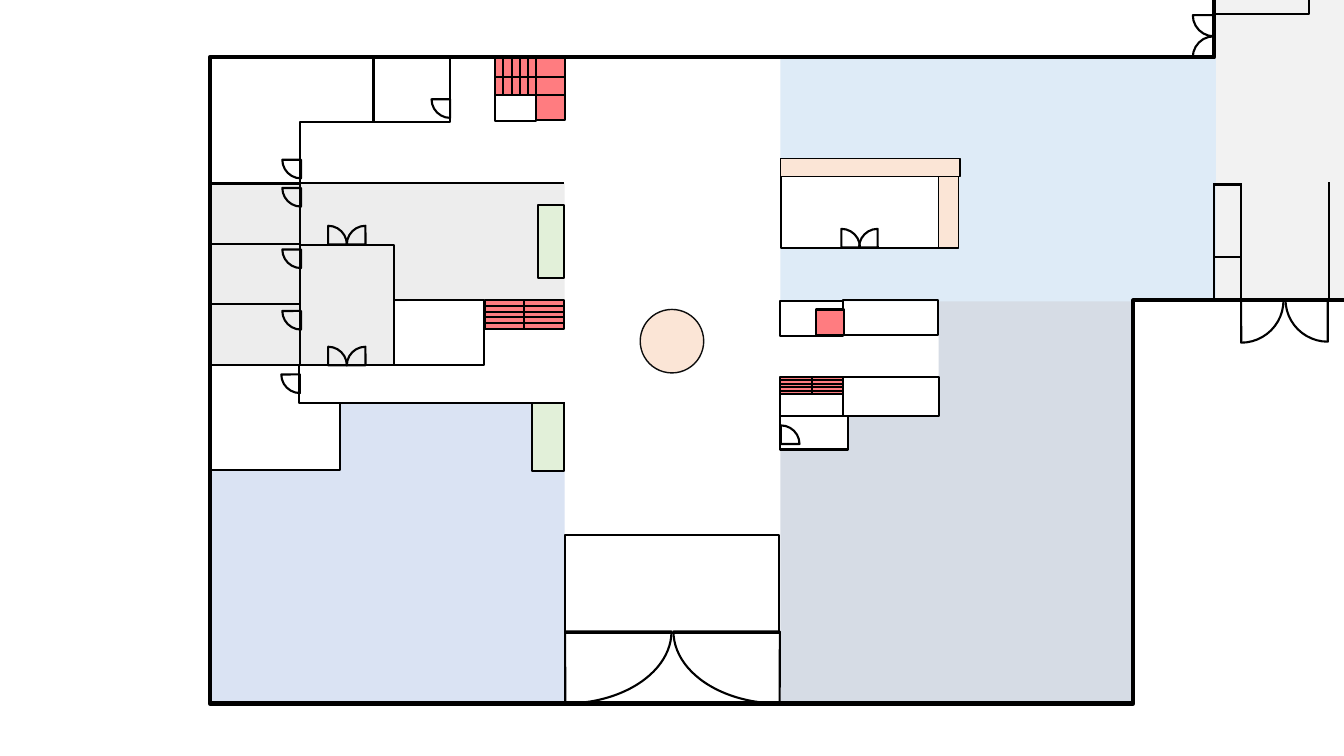
from dataclasses import dataclass

from lxml.etree import SubElement
from pptx import Presentation
from pptx.dml.color import RGBColor
from pptx.enum.shapes import MSO_CONNECTOR as Connector, MSO_SHAPE as Preset
from pptx.oxml.ns import qn
from pptx.util import Inches, Pt


@dataclass(frozen=True)
class Theme:
    white: str = "FFFFFF"
    ink: str = "000000"
    soft_ink: str = "0D0D0D"
    annex: str = "F2F2F2"
    lounge: str = "DAE3F3"
    hall: str = "D6DCE5"
    gallery: str = "DEEBF7"
    offices: str = "EDEDED"
    stairs: str = "FF7C80"
    shelf: str = "E2F0D9"
    counter: str = "FBE5D6"
    thin: float = 1
    wall: float = 1.5
    shell: float = 3


THEME = Theme()
QUARTER = 53.92  # end angle of a door swing, just under 90 degrees
LEAF = 0.37

# Boxes are (left, top, width, height) in inches
ZONES = [
    ((12.05, -0.08, 1.46, 3.06), THEME.annex),
    ((2.08, 4, 3.52, 2.98), THEME.lounge),
    ((9.31, 2.96, 1.93, 1.76), THEME.hall),
    ((7.74, 0.58, 4.32, 2.41), THEME.gallery),
    ((7.74, 4.13, 3.5, 2.85), THEME.hall),
    ((3.29, 1.82, 2.31, 1.15), THEME.offices),
]
OFFICE_WING = [(2.1, 1.82), (4.04, 1.82), (4.04, 2.99), (3.9, 2.99), (3.9, 3.62), (2.1, 3.62)]
WEST_ROOM = [(2.08, 3.62), (2.97, 3.62), (2.97, 4), (3.37, 4), (3.37, 4.66), (2.08, 4.66)]
NORTH_ROOM = [(2.08, 0.57), (3.71, 0.57), (3.71, 1.21), (2.98, 1.21), (2.98, 1.82), (2.08, 1.82)]
SHELL = [
    (12.04, -0.38), (16.5, -0.38), (16.5, 2.98), (11.24, 2.98), (11.24, 6.98),
    (2.08, 6.98), (2.08, 0.57), (12.04, 0.57),
]

OPEN_ROOMS = [
    (3.91, 2.98, 0.89, 0.64),
    (12.03, -0.38, 0.95, 0.52),
    *[(2.08, 1.82 + 0.6 * row, 0.9, 0.6) for row in range(3)],
    (2.98, 2.43, 0.93, 1.19),
    (3.7, 0.57, 0.76, 0.64),
    (5.6, 5.31, 2.13, 0.97),
    (8.36, 2.98, 0.94, 0.34),
    (7.74, 2.99, 0.62, 0.34),
    (8.36, 3.74, 0.95, 0.39),
]
WHITE_ROOMS = [(7.75, 1.75, 1.56, 0.71), (7.74, 4.13, 0.67, 0.33), (4.91, 0.94, 0.41, 0.26)]

# Partitions are (x1, y1, x2, y2)
PARTITIONS = [
    (2.83, 1.82, 5.59, 1.82),
    (3.29, 4, 5.6, 4),
    (13.18, 1.81, 13.18, 2.96),
    (12.31, 1.83, 12.31, 2.25),
    (12.31, 2.54, 12.31, 2.96),
    (12.32, 1.83, 12.03, 1.83),
    (12.04, 1.83, 12.04, 2.99),
    (7.74, 3.9, 7.74, 4.15),
]
THIN_PARTITIONS = [(12.31, 2.16, 12.31, 2.58), (12.31, 2.55, 12.03, 2.55)]

# Single doors are (left, top, rotation)
SINGLE_DOORS = [
    (2.79, 3.53, 90), (2.8, 2.9, 90), (2.8, 2.29, 90), (2.8, 1.68, 90),
    (2.8, 1.4, 90), (4.28, 0.8, 90), (7.56, 4.22, 270),
]
# Double doors are (plain leaf corner, mirrored leaf corner, leaf size, rotation)
DOUBLE_DOORS = [
    ((11.89, 2.56), (12.75, 2.55), (0.84, 0.84), 0),
    ((11.83, -0.06), (11.83, 0.36), (0.42, 0.42), 90),
    ((8.52, 2.27), (8.16, 2.27), (LEAF, LEAF), 180),
    ((3.44, 3.44), (3.07, 3.44), (LEAF, LEAF), 180),
    ((3.44, 2.24), (3.07, 2.24), (LEAF, LEAF), 180),
    ((4.55, 5.55), (6.68, 5.55), (2.11, 1.43), 0),
]

# Stairs are (box, number of treads, tread pitch, whether the treads stand upright)
STAIRS = [
    ((4.81, 2.98, 0.78, 0.28), 4, 0.056, False),
    ((4.91, 0.58, 0.69, 0.36), 5, 0.082, True),
    ((7.74, 3.74, 0.62, 0.17), 4, 0.034, False),
]
LIFTS = [(5.32, 0.94, 0.28, 0.25), (8.09, 3.07, 0.28, 0.25)]
SHELVES = [(5.34, 2.03, 0.25, 0.73), (5.28, 4, 0.31, 0.67)]
COUNTERS = [(9.31, 1.75, 0.2, 0.71), (7.74, 1.57, 1.78, 0.18)]
ROUND_DESK = (6.35, 3.07, 0.63, 0.63)


def paint(shape, fill=None, width=None, color=THEME.ink):
    shape.shadow.inherit = False
    if fill:
        shape.fill.solid()
        shape.fill.fore_color.rgb = RGBColor.from_string(fill)
    else:
        shape.fill.background()
    if width:
        shape.line.color.rgb = RGBColor.from_string(color)
        shape.line.width = Pt(width)
    else:
        shape.line.fill.background()


def add_box(shapes, box, preset=Preset.RECTANGLE, **style):
    shape = shapes.add_shape(preset, *map(Inches, box))
    paint(shape, **style)
    return shape


def add_polygon(shapes, points, **style):
    corners = [(Inches(x), Inches(y)) for x, y in points]
    builder = shapes.build_freeform(*corners[0], scale=1.0)
    builder.add_line_segments(corners[1:], close=True)
    paint(builder.convert_to_shape(), **style)


def add_wall(shapes, ends, width=THEME.wall):
    wall = shapes.add_connector(Connector.STRAIGHT, *map(Inches, ends))
    wall.line.color.rgb = RGBColor.from_string(THEME.ink)
    wall.line.width = Pt(width)
    SubElement(wall._element.spPr, qn("a:effectLst"))


def add_leaf(shapes, corner, size, rotation, mirrored=False):
    """Draw one door leaf as a quarter pie."""
    leaf = add_box(shapes, (*corner, *size), Preset.PIE, width=THEME.wall)
    leaf.adjustments[0] = 0
    leaf.adjustments[1] = QUARTER
    leaf.rotation = rotation
    if mirrored:
        leaf._element.spPr.get_or_add_xfrm().set("flipH", "1")


def add_stairs(shapes, box, treads, pitch, upright):
    """Draw a flight in two halves, with treads crossing the dividing line."""
    left, top, width, height = box
    right, bottom = left + width, top + height
    add_box(shapes, box, fill=THEME.stairs, width=THEME.wall)
    for step in range(1, treads + 1):
        x, y = left + step * pitch, top + step * pitch
        add_wall(shapes, (x, top, x, bottom) if upright else (left, y, right, y))
    x, y = left + width / 2, top + height / 2
    add_wall(shapes, (left, y, right, y) if upright else (x, top, x, bottom))


def main():
    deck = Presentation()
    deck.slide_width, deck.slide_height = Inches(13.33), Inches(7.5)
    shapes = deck.slides.add_slide(deck.slide_layouts[6]).shapes

    for box, color in ZONES:
        add_box(shapes, box, fill=color)
    add_polygon(shapes, OFFICE_WING, fill=THEME.offices)
    add_polygon(shapes, WEST_ROOM, fill=THEME.white, width=THEME.wall)
    add_polygon(shapes, NORTH_ROOM, width=THEME.wall)
    for box in WHITE_ROOMS:
        add_box(shapes, box, fill=THEME.white, width=THEME.wall)
    for box in OPEN_ROOMS:
        add_box(shapes, box, width=THEME.wall)
    for ends in PARTITIONS:
        add_wall(shapes, ends)
    for ends in THIN_PARTITIONS:
        add_wall(shapes, ends, THEME.thin)

    for plain, mirrored, size, rotation in DOUBLE_DOORS:
        pair = shapes.add_group_shape().shapes
        add_leaf(pair, plain, size, rotation)
        add_leaf(pair, mirrored, size, rotation, mirrored=True)
    for left, top, rotation in SINGLE_DOORS:
        add_leaf(shapes, (left, top), (LEAF, LEAF), rotation)

    for flight in STAIRS:
        add_stairs(shapes, *flight)
    for boxes, color, width in [
        (LIFTS, THEME.stairs, THEME.wall),
        (SHELVES, THEME.shelf, THEME.wall),
        (COUNTERS, THEME.counter, THEME.thin),
    ]:
        for box in boxes:
            add_box(shapes, box, fill=color, width=width)
    add_box(shapes, ROUND_DESK, Preset.OVAL, fill=THEME.counter, width=THEME.thin,
            color=THEME.soft_ink)
    add_polygon(shapes, SHELL, width=THEME.shell)

    deck.save("out.pptx")


if __name__ == "__main__":
    main()
